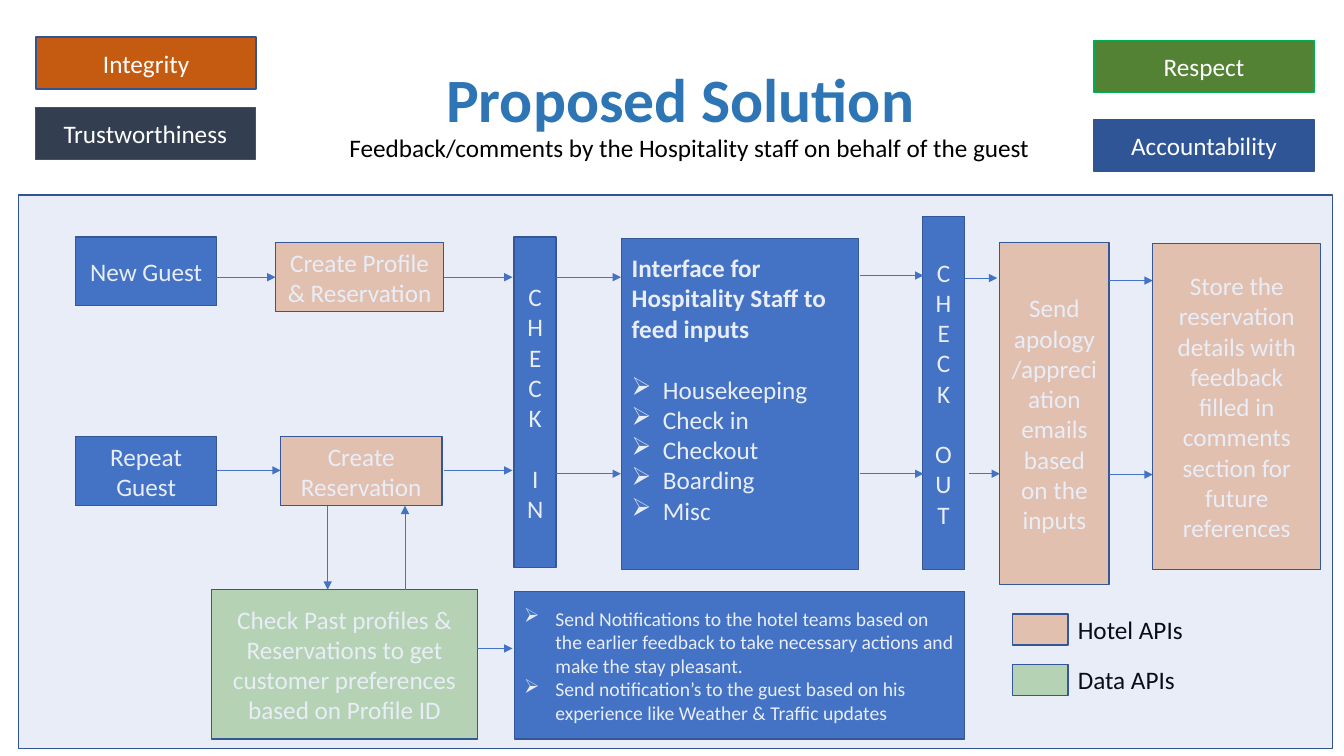
from pptx import Presentation
from pptx import util as u
from pptx.dml.color import RGBColor
from pptx.enum import shapes, text
from pptx.oxml.ns import qn
from lxml import etree

BLUE = RGBColor(0x44, 0x72, 0xC4)
EDGE = RGBColor(0x32, 0x54, 0x91)
PEACH = RGBColor(0xF8, 0xCB, 0xAD)
MINT = RGBColor(0xC5, 0xE0, 0xB4)
RUST = RGBColor(0xC5, 0x5A, 0x11)
SLATE = RGBColor(0x33, 0x3F, 0x50)
GREEN = RGBColor(0x54, 0x82, 0x35)
BRIGHT_GREEN = RGBColor(0x00, 0xB0, 0x50)
NAVY = RGBColor(0x2F, 0x55, 0x97)
SKY = RGBColor(0x2E, 0x75, 0xB6)
WHITE = RGBColor(0xFF, 0xFF, 0xFF)
BLACK = RGBColor(0, 0, 0)

WIDTH, HEIGHT = u.Inches(13.33), u.Inches(7.5)
CELL = HEIGHT / 90
LEFT, CENTER = text.PP_ALIGN.LEFT, text.PP_ALIGN.CENTER


def cells(*counts):
    return [u.Emu(round(count * CELL)) for count in counts]


def write(paragraph, words, size=18, color=WHITE, bold=False, align=LEFT):
    paragraph.alignment = align
    run = paragraph.add_run()
    run.text = words
    run.font.name = "Calibri"
    run.font.size = u.Pt(size)
    run.font.bold = bold
    run.font.color.rgb = color


def add_bullet(paragraph):
    props = paragraph._p.get_or_add_pPr()
    props.set("marL", str(u.Inches(0.31)))
    props.set("indent", str(-u.Inches(0.31)))
    font = etree.SubElement(props, qn("a:buFont"))
    font.set("typeface", "Wingdings")
    mark = etree.SubElement(props, qn("a:buChar"))
    mark.set("char", "\u00d8")


def add_box(slide, area, fill, words="", edge=EDGE):
    box = slide.shapes.add_shape(shapes.MSO_SHAPE.RECTANGLE, *cells(*area))
    box.shadow.inherit = False
    box.fill.solid()
    box.fill.fore_color.rgb = fill
    box.line.color.rgb = edge
    box.line.width = u.Pt(1)
    box.text_frame.word_wrap = True
    box.text_frame.vertical_anchor = text.MSO_ANCHOR.MIDDLE
    if words:
        write(box.text_frame.paragraphs[0], words, align=CENTER)
    return box


def add_stacked_box(slide, area, words):
    frame = add_box(slide, area, BLUE, words).text_frame
    frame._txBody.bodyPr.set("vert", "wordArtVert")


def add_list_box(slide, area, items, size, heading=""):
    frame = add_box(slide, area, BLUE).text_frame
    paragraph = frame.paragraphs[0]
    if heading:
        write(paragraph, heading, size, bold=True)
        paragraph.space_after = u.Pt(22)
        frame.margin_bottom = u.Inches(0.35)
        paragraph = frame.add_paragraph()
    for index, item in enumerate(items):
        if index:
            paragraph = frame.add_paragraph()
        write(paragraph, item, size)
        add_bullet(paragraph)


def add_label(slide, area, words, size=18, color=BLACK, bold=False):
    frame = slide.shapes.add_textbox(*cells(*area)).text_frame
    frame.word_wrap = True
    frame.vertical_anchor = text.MSO_ANCHOR.MIDDLE
    write(frame.paragraphs[0], words, size, color, bold)
    return frame


def add_arrow(slide, *ends):
    arrow = slide.shapes.add_connector(shapes.MSO_CONNECTOR.STRAIGHT, *cells(*ends))
    arrow.line.color.rgb = BLUE
    arrow.line.width = u.Pt(0.5)
    head = etree.SubElement(arrow.line._get_or_add_ln(), qn("a:tailEnd"))
    head.set("type", "triangle")
    etree.SubElement(arrow._element.spPr, qn("a:effectLst"))


def add_header(slide):
    title = add_label(slide, (51.9, 1.2, 105.3, 22), "Proposed Solution", 44, SKY, True)
    title.paragraphs[0].line_spacing = 0.9
    add_label(slide, (40.4, 15.2, 90, 4.8),
              "Feedback/comments by the Hospitality staff on behalf of the guest")
    for left, top, fill, edge, value in (
            (4.3, 4.4, RUST, EDGE, "Integrity"),
            (4.2, 12.8, SLATE, EDGE, "Trustworthiness"),
            (130.2, 4.8, GREEN, BRIGHT_GREEN, "Respect"),
            (130.2, 14.2, NAVY, EDGE, "Accountability")):
        add_box(slide, (left, top, 26.2, 6.2), fill, value, edge)


def add_steps(slide):
    for area, fill, step in (
            ((9, 28.2, 16.8, 8.2), BLUE, "New Guest"),
            ((9, 52, 16.8, 8.2), BLUE, "Repeat Guest"),
            ((32.8, 28.9, 20, 8.2), PEACH, "Create Profile & Reservation"),
            ((33.4, 52, 19.2, 8.2), PEACH, "Create Reservation"),
            ((25.2, 70.2, 31.6, 17.8), MINT,
             "Check Past profiles & Reservations to get customer preferences based on Profile ID"),
            ((119, 28.9, 13, 40.7), PEACH,
             "Send apology/appreciation emails based on the inputs"),
            ((137.2, 29, 20, 38.8), PEACH,
             "Store the reservation details with feedback filled in comments section for future references")):
        add_box(slide, area, fill, step)
    add_stacked_box(slide, (61.2, 28.2, 5, 39.4), "CHECK IN")
    add_stacked_box(slide, (109.8, 25.8, 5, 42), "CHECK OUT")
    add_list_box(slide, (74, 28.4, 28.2, 39.4),
                 ("Housekeeping", "Check in", "Checkout", "Boarding", "Misc"), 18,
                 "Interface for Hospitality Staff to feed inputs")
    add_list_box(slide, (61.2, 70.4, 53.6, 17.6), (
        "Send Notifications to the hotel teams based on the earlier feedback "
        "to take necessary actions and make the stay pleasant.",
        "Send notification\u2019s to the guest based on his experience "
        "like Weather & Traffic updates"), 14)


def add_flow(slide):
    for start, end, row in (
            (25.2, 32.8, 33), (52.8, 61, 33), (66.2, 73.9, 33),
            (102.4, 109.9, 32.8), (114.8, 118.7, 33.1), (132, 137.2, 33.4),
            (25.8, 33.4, 56), (52.8, 61, 56), (66.2, 73.9, 56.4),
            (102.4, 109.9, 56.4), (115.3, 119, 56.4), (132, 137.2, 56.5),
            (56.8, 61, 77.2)):
        add_arrow(slide, start, row, end, row)
    add_arrow(slide, 39, 60.2, 39, 70.2)
    add_arrow(slide, 48.2, 70.2, 48.2, 60.2)


def add_legend(slide):
    for index, (fill, source) in enumerate(((PEACH, "Hotel APIs"), (MINT, "Data APIs"))):
        top = 73.1 + 6 * index
        add_box(slide, (120.5, top, 6.6, 3.7), fill)
        add_label(slide, (127.1, top - 0.6, 18.5, 4.8), source)


def add_veil(slide):
    veil = add_box(slide, (2.2, 23.2, 156.4, 65.9), BLUE)
    tint = veil._element.spPr.find(qn("a:solidFill"))[0]
    etree.SubElement(tint, qn("a:alpha")).set("val", "12000")


def main():
    deck = Presentation()
    deck.slide_width, deck.slide_height = WIDTH, HEIGHT
    slide = deck.slides.add_slide(deck.slide_layouts[6])
    add_header(slide)
    add_steps(slide)
    add_flow(slide)
    add_legend(slide)
    add_veil(slide)
    deck.save("out.pptx")


main()
